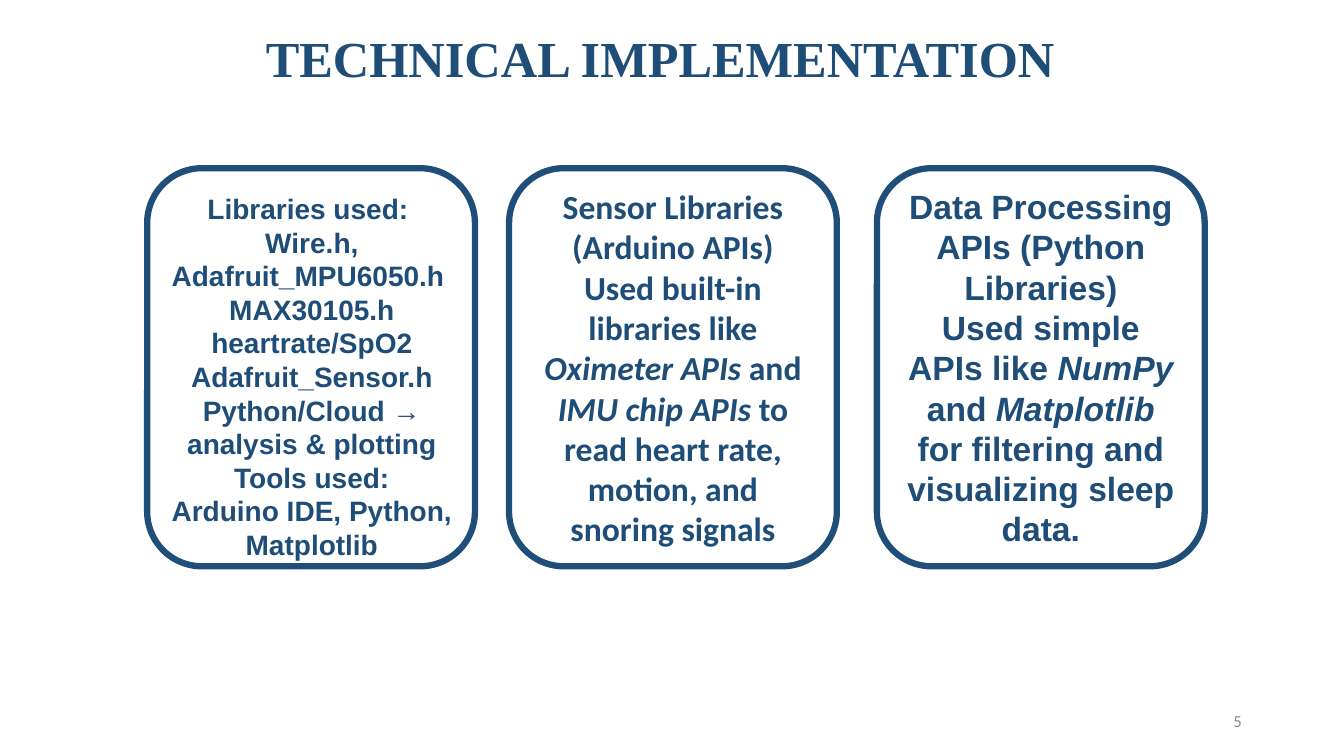
from pptx import Presentation
from pptx.dml.color import RGBColor
from pptx.enum import shapes, text
from pptx.util import Cm, Pt

COLORS = {"text": "1E4D77", "border": "1F4E79", "card": "FFFFFF", "number": "898989"}
CARD_TOP, CARD_WIDTH, CARD_HEIGHT = 4.24, 8.26, 10.03

LIBRARIES = [
    ["Libraries used: "],
    ["Wire.h, Adafruit_MPU6050.h "],
    ["MAX30105.h heartrate/SpO2"],
    ["Adafruit_Sensor.h"],
    ["Python/Cloud → analysis & plotting"],
    ["Tools used:\nArduino IDE, Python, Matplotlib"],
]
SENSORS = [[
    "Sensor Libraries (Arduino APIs)\nUsed built-in libraries like ",
    "Oximeter APIs", " and ", "IMU chip APIs",
    " to read heart rate, motion, and snoring signals",
]]
PROCESSING = [[
    "Data Processing APIs (Python Libraries)\nUsed simple APIs like ",
    "NumPy", " and ", "Matplotlib",
    " for filtering and visualizing sleep data.",
]]


def color(name):
    return RGBColor.from_string(COLORS[name])


def add_runs(paragraph, parts):
    for index, part in enumerate(parts):
        for line_index, line in enumerate(part.split("\n")):
            if line_index:
                paragraph.add_line_break()
            run = paragraph.add_run()
            run.text = line
            if index % 2:
                run.font.italic = True


def write(shape, paragraphs, font, size, align=text.PP_ALIGN.CENTER,
          anchor=text.MSO_ANCHOR.MIDDLE, ink="text", bold=True, spacing=None):
    frame = shape.text_frame
    frame.word_wrap = True
    frame.vertical_anchor = anchor
    for index, parts in enumerate(paragraphs):
        paragraph = frame.add_paragraph() if index else frame.paragraphs[0]
        paragraph.alignment = align
        paragraph.line_spacing = spacing
        add_runs(paragraph, parts)
        paragraph.font.name = font
        paragraph.font.size = Pt(size)
        paragraph.font.bold = bold
        paragraph.font.color.rgb = color(ink)


def add_text(slide, left, top, width, height, paragraphs, font, size, **style):
    box = slide.shapes.add_textbox(Cm(left), Cm(top), Cm(width), Cm(height))
    write(box, paragraphs, font, size, **style)


def add_card(slide, left):
    card = slide.shapes.add_shape(
        shapes.MSO_SHAPE.ROUNDED_RECTANGLE,
        Cm(left), Cm(CARD_TOP), Cm(CARD_WIDTH), Cm(CARD_HEIGHT))
    card.shadow.inherit = False
    card.fill.solid()
    card.fill.fore_color.rgb = color("card")
    card.line.color.rgb = color("border")
    card.line.width = Pt(4.5)
    return card


def main():
    presentation = Presentation()
    presentation.slide_width = Cm(33.87)
    presentation.slide_height = Cm(19.05)
    slide = presentation.slides.add_slide(presentation.slide_layouts[6])

    add_text(slide, 6.45, 0.41, 27, 2.29, [["TECHNICAL IMPLEMENTATION"]],
             "Times New Roman", 36, align=text.PP_ALIGN.LEFT, spacing=0.9)
    add_text(slide, 23.93, 17.65, 7.62, 1.02, [["5"]], "Calibri", 12,
             align=text.PP_ALIGN.RIGHT, ink="number", bold=False)

    add_card(slide, 3.71)
    add_text(slide, 3.76, 4.7, 8.2, 10.44, LIBRARIES, "Arial", 20,
             anchor=text.MSO_ANCHOR.TOP)
    write(add_card(slide, 12.83), SENSORS, "Calibri", 24)
    write(add_card(slide, 22.1), PROCESSING, "Arial", 24)

    presentation.save("out.pptx")


if __name__ == "__main__":
    main()
